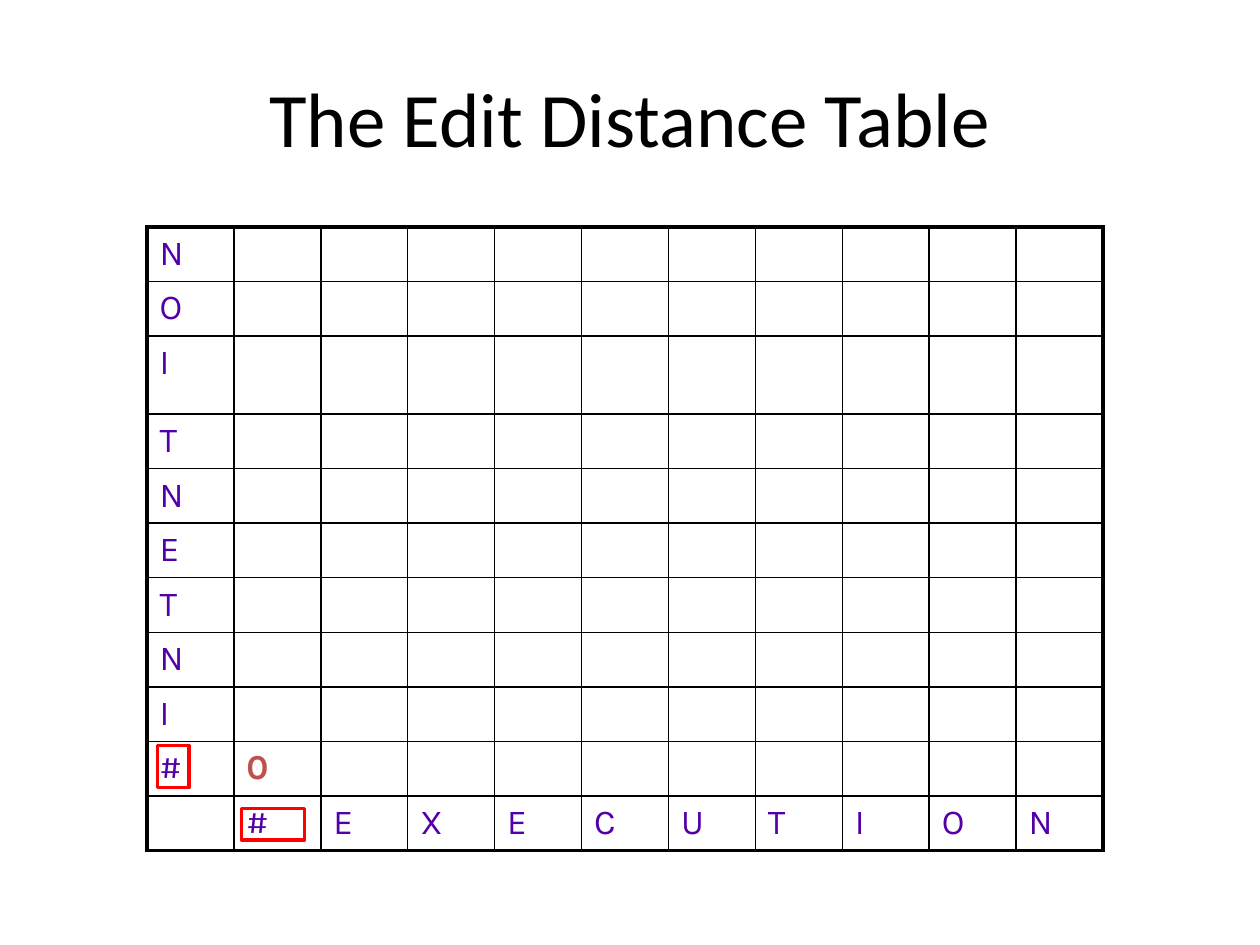
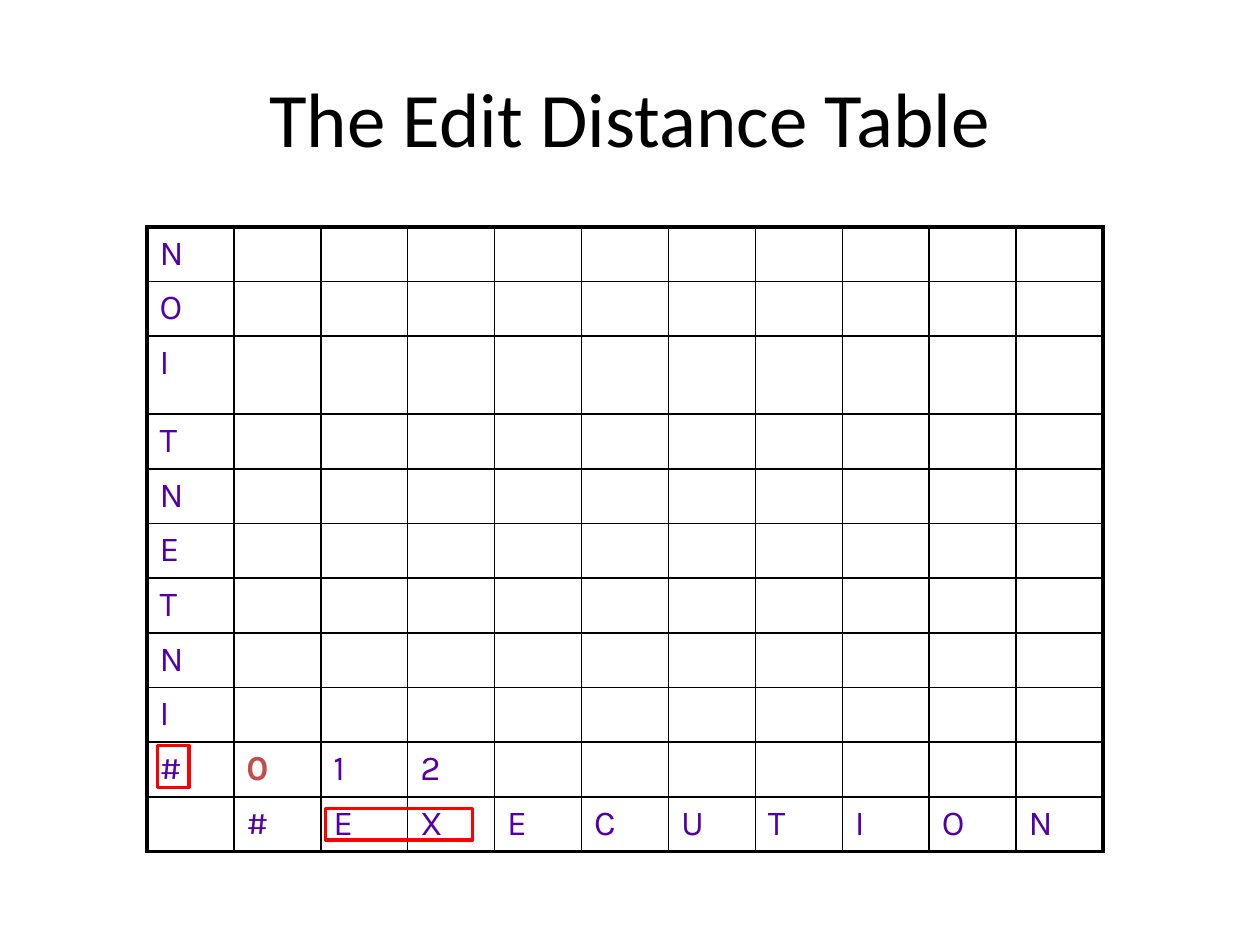
from lxml import etree
from pptx import Presentation
from pptx import util as u
from pptx.dml import color
from pptx.enum import shapes, text
from pptx.oxml import ns

PX = 3048  # 300 px to the inch
COLORS = {"ink": "000000", "letter": "5400A8", "origin": "C0504D", "mark": "FF0000"}
TITLE_FONT = {"name": "Calibri", "size": u.Pt(44), "bold": False}
LETTER_FONT = {"name": "Karla", "size": u.Pt(20), "bold": False}
ORIGIN_FONT = {**LETTER_FONT, "bold": True}

TITLE = "The Edit Distance Table"
TITLE_BOX = (150, 90, 2700, 375)
TABLE_ORIGIN = (350, 540)
COLUMN_WIDTH = 207
ROW_HEIGHT, TALL_ROW_HEIGHT, TALL_ROW = 130, 186, 2
SOURCE_WORD, TARGET_WORD = "#INTENTION", "#EXECUTION"
INNER_LINE, OUTER_LINE, MARK_LINE = u.Pt(1), u.Pt(2.25), u.Pt(2)

# Marks are measured from the top left corner of the table.
SOURCE_MARK = (25, 1235, 75, 100)
STEPS = [
    {"distances": "0", "target_mark": (225, 1385, 150, 75)},
    {"distances": "012", "target_mark": (425, 1385, 350, 75)},
]


def emu(box):
    return [u.Emu(length * PX) for length in box]


def rgb(name):
    return color.RGBColor.from_string(COLORS[name])


def write(paragraph, words, font_format, color_name):
    run = paragraph.add_run()
    run.text = words
    for attribute, value in font_format.items():
        setattr(run.font, attribute, value)
    run.font.color.rgb = rgb(color_name)


def add_title(slide, box):
    frame = slide.shapes.add_textbox(*emu(box)).text_frame
    frame.word_wrap = True
    frame.vertical_anchor = text.MSO_ANCHOR.MIDDLE
    heading = frame.paragraphs[0]
    heading.alignment = text.PP_ALIGN.CENTER
    write(heading, TITLE, TITLE_FONT, "ink")


def set_borders(cell, outer_sides):
    """Rule all four sides of a cell, heavier on the table's outer edge."""
    properties = cell._tc.get_or_add_tcPr()
    for side in "LRTB":
        width = OUTER_LINE if side in outer_sides else INNER_LINE
        line = etree.SubElement(properties, ns.qn(f"a:ln{side}"), w=str(width))
        fill = etree.SubElement(line, ns.qn("a:solidFill"))
        etree.SubElement(fill, ns.qn("a:srgbClr"), val=COLORS["ink"])


def table_letters(distances):
    """Source word upwards in the first column, target word in the last row."""
    rows = [[letter] for letter in reversed(SOURCE_WORD)]
    rows[-1] += distances
    rows.append(["", *TARGET_WORD])
    width = len(rows[-1])
    return [row + [""] * (width - len(row)) for row in rows]


def add_distance_table(slide, origin, distances):
    rows = table_letters(distances)
    last_row, last_column = len(rows) - 1, len(rows[0]) - 1
    heights = [TALL_ROW_HEIGHT if r == TALL_ROW else ROW_HEIGHT for r in range(len(rows))]
    box = (*origin, COLUMN_WIDTH * len(rows[0]), sum(heights))
    table = slide.shapes.add_table(len(rows), len(rows[0]), *emu(box)).table
    table.first_row = table.horz_banding = False
    for column in table.columns:
        column.width = u.Emu(COLUMN_WIDTH * PX)
    for r, (letters, height) in enumerate(zip(rows, heights)):
        table.rows[r].height = u.Emu(height * PX)
        for c, letter in enumerate(letters):
            cell = table.cell(r, c)
            edges = {"L": c == 0, "R": c == last_column, "T": r == 0, "B": r == last_row}
            set_borders(cell, [side for side, is_outer in edges.items() if is_outer])
            cell.fill.background()
            if letter == "0":
                write(cell.text_frame.paragraphs[0], letter, ORIGIN_FONT, "origin")
            elif letter:
                write(cell.text_frame.paragraphs[0], letter, LETTER_FONT, "letter")


def add_mark(slide, origin, box):
    left, top, width, height = box
    placed = (origin[0] + left, origin[1] + top, width, height)
    mark = slide.shapes.add_shape(shapes.MSO_SHAPE.RECTANGLE, *emu(placed))
    mark.shadow.inherit = False
    mark.fill.background()
    mark.line.color.rgb = rgb("mark")
    mark.line.width = MARK_LINE


def add_step_slide(deck, distances, target_mark):
    slide = deck.slides.add_slide(deck.slide_layouts[6])
    add_distance_table(slide, TABLE_ORIGIN, distances)
    add_title(slide, TITLE_BOX)
    for box in (SOURCE_MARK, target_mark):
        add_mark(slide, TABLE_ORIGIN, box)


def main():
    deck = Presentation()
    deck.slide_width, deck.slide_height = emu((3000, 2250))
    for step in STEPS:
        add_step_slide(deck, **step)
    deck.save("out.pptx")


if __name__ == "__main__":
    main()
